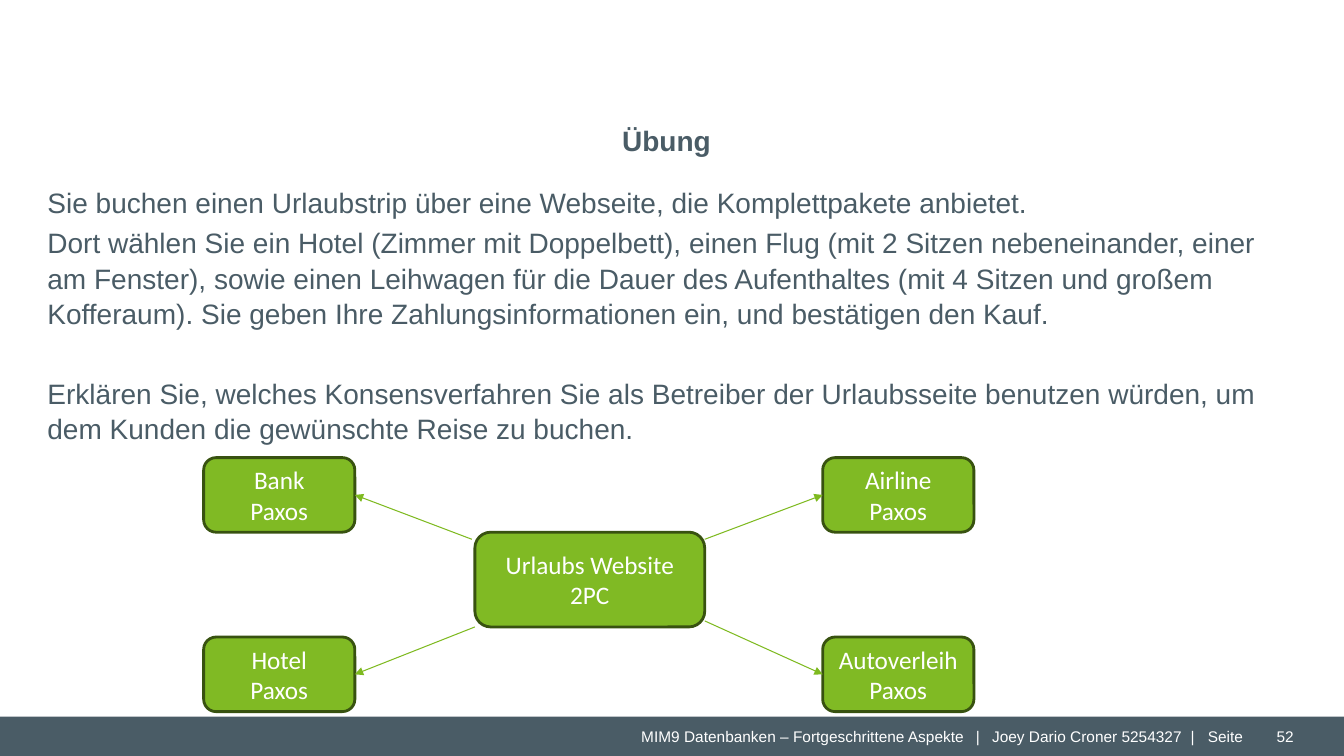
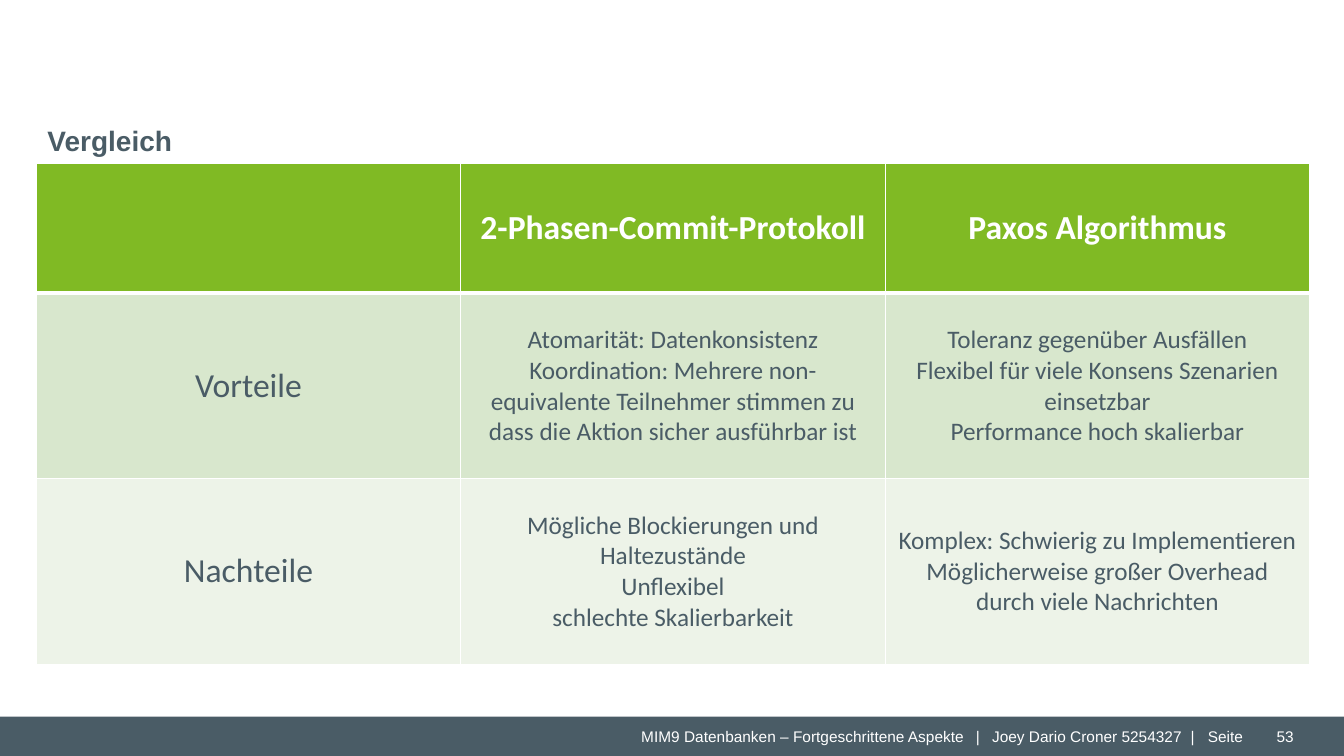
import pptx
import pptx.util
import pptx.dml.color
import pptx.enum.shapes
import pptx.enum.text
import pptx.oxml
import pptx.oxml.ns

Inches, Pt = pptx.util.Inches, pptx.util.Pt
ALIGN = pptx.enum.text.PP_ALIGN
MIDDLE = pptx.enum.text.MSO_ANCHOR.MIDDLE
SHAPE = pptx.enum.shapes.MSO_SHAPE
NS = pptx.oxml.ns.nsdecls("a")

HEX = {"slate": "4A5C66", "green": "80BA24", "edge": "385210", "arrow": "7EBA20",
       "white": "FFFFFF", "mid": "D8E7CD", "pale": "EDF3E8"}

BODY = {"name": "Arial", "size": 20, "color": "slate"}
TITLE = {**BODY, "bold": True}
FOOT = {"name": "Arial", "size": 11, "color": "white"}
NODE = {"name": "Calibri", "size": 18, "color": "white"}
HEAD = {"name": "Calibri", "size": 24, "color": "white", "bold": True}
LABEL = {"name": "Calibri", "size": 24, "color": "slate"}
CELL = {**LABEL, "size": 18}

FOOTER = ["MIM9 Datenbanken – Fortgeschrittene Aspekte", "|",
          "Joey Dario Croner 5254327", "|", "Seite"]
TABS = [3.32, 3.48, 5.45, 5.62]

TASK = [  # text, space before in points
    ("Sie buchen einen Urlaubstrip über eine Webseite, die Komplettpakete anbietet.", 0),
    ("Dort wählen Sie ein Hotel (Zimmer mit Doppelbett), einen Flug (mit 2 Sitzen "
     "nebeneinander, einer am Fenster), sowie einen Leihwagen für die Dauer des "
     "Aufenthaltes (mit 4 Sitzen und großem Kofferaum). Sie geben Ihre "
     "Zahlungsinformationen ein, und bestätigen den Kauf.", 4),
    ("Erklären Sie, welches Konsensverfahren Sie als Betreiber der Urlaubsseite "
     "benutzen würden, um dem Kunden die gewünschte Reise zu buchen.", 32),
]

HUB = (["Urlaubs Website", "2PC"], (4.71, 5.28, 2.28, 0.94))
LEFT, RIGHT, UPPER, LOWER = 2.02, 8.16, 4.54, 6.32
NODE_W, NODE_H = 1.5, 0.74
PARTNERS = [  # name, left, top, start of its arrow
    ("Bank", LEFT, UPPER, (4.68, 5.35)),
    ("Hotel", LEFT, LOWER, (4.71, 6.22)),
    ("Airline", RIGHT, UPPER, (6.99, 5.35)),
    ("Autoverleih", RIGHT, LOWER, (6.99, 6.16)),
]

ROWS = [  # height, fill, cells
    (1.29, "green", [[], ["2-Phasen-Commit-Protokoll"], ["Paxos Algorithmus"]]),
    (1.84, "mid", [
        ["Vorteile"],
        ["Atomarität: Datenkonsistenz",
         "Koordination: Mehrere non-equivalente Teilnehmer stimmen zu "
         "dass die Aktion sicher ausführbar ist"],
        ["Toleranz gegenüber Ausfällen",
         "Flexibel für viele Konsens Szenarien einsetzbar",
         "Performance hoch skalierbar"]]),
    (1.84, "pale", [
        ["Nachteile"],
        ["Mögliche Blockierungen und Haltezustände", "Unflexibel",
         "schlechte Skalierbarkeit"],
        ["Komplex: Schwierig zu Implementieren",
         "Möglicherweise großer Overhead durch viele Nachrichten"]]),
]
COL_W = 4.21


def rgb(key):
    return pptx.dml.color.RGBColor.from_string(HEX[key])


def box(at):
    return [Inches(v) for v in at]


def style(font, look):
    for key, value in look.items():
        if key == "color":
            font.color.rgb = rgb(value)
        else:
            setattr(font, key, Pt(value) if key == "size" else value)


def write(frame, lines, look, align):
    """Put one paragraph per line into the frame and return them."""
    for i, line in enumerate(lines):
        para = frame.paragraphs[0] if i == 0 else frame.add_paragraph()
        para.alignment = align
        run = para.add_run()
        run.text = line
        style(run.font, look)
    return frame.paragraphs


def text(slide, at, lines, look, align=ALIGN.LEFT, pad=(0, 0)):
    frame = slide.shapes.add_textbox(*box(at)).text_frame
    frame.word_wrap = True
    frame.margin_left, frame.margin_right = box(pad)
    return write(frame, lines, look, align)


def block(slide, kind, at, fill, edge=None):
    shape = slide.shapes.add_shape(kind, *box(at))
    shape.shadow.inherit = False
    shape.fill.solid()
    shape.fill.fore_color.rgb = rgb(fill)
    if edge:
        shape.line.color.rgb = rgb(edge)
        shape.line.width = Pt(2)
    else:
        shape.line.fill.background()
    return shape


def node(slide, lines, at):
    frame = block(slide, SHAPE.ROUNDED_RECTANGLE, at, "green", "edge").text_frame
    frame.word_wrap = True
    frame.vertical_anchor = MIDDLE
    write(frame, lines, NODE, ALIGN.CENTER)


def arrow(slide, start, end):
    line = slide.shapes.add_connector(
        pptx.enum.shapes.MSO_CONNECTOR.STRAIGHT, *box(start + end))
    line.line.color.rgb = rgb("arrow")
    line.line.width = Pt(0.75)
    line.line._get_or_add_ln().append(
        pptx.oxml.parse_xml(f'<a:tailEnd {NS} type="triangle"/>'))
    line._element.spPr.append(pptx.oxml.parse_xml(f"<a:effectLst {NS}/>"))


def border(cell, bottom):
    """Draw white cell borders; bottom is the width of the lower one."""
    props = cell._tc.get_or_add_tcPr()
    for i, (side, width) in enumerate(zip("LRTB", (1, 1, 1, bottom))):
        props.insert(i, pptx.oxml.parse_xml(
            f'<a:ln{side} {NS} w="{Pt(width)}"><a:solidFill>'
            f'<a:srgbClr val="{HEX["white"]}"/></a:solidFill></a:ln{side}>'))


def page(deck, title, number, align):
    """Add a slide with the shared footer band and title."""
    slide = deck.slides.add_slide(deck.slide_layouts[6])
    block(slide, SHAPE.RECTANGLE, (0, 7.11, 13.33, 0.39), "slate")
    foot = text(slide, (6.36, 7.16, 6.05, 0.29), ["\t".join(FOOTER)], FOOT)[0]
    stops = "".join(f'<a:tab pos="{Inches(t)}" algn="l"/>' for t in TABS)
    foot._p.get_or_add_pPr().append(
        pptx.oxml.parse_xml(f"<a:tabLst {NS}>{stops}</a:tabLst>"))
    text(slide, (12.42, 7.16, 0.51, 0.29), [str(number)], FOOT, ALIGN.RIGHT, (0.1, 0.1))
    text(slide, (0.47, 1.18, 12.28, 0.52), [title], TITLE, align)
    return slide


def exercise(deck):
    slide = page(deck, "Übung", 52, ALIGN.CENTER)
    paras = text(slide, (0.47, 1.77, 12.28, 2.7), [t for t, _ in TASK], BODY, pad=(0, 0.1))
    for para, (_, gap) in zip(paras, TASK):
        para.line_spacing = 1.05
        para.space_before = Pt(gap)
    node(slide, *HUB)
    for name, left, top, start in PARTNERS:
        node(slide, [name, "Paxos"], (left, top, NODE_W, NODE_H))
        side = left + NODE_W if left == LEFT else left
        arrow(slide, start, (side, top + NODE_H / 2))


def compare(deck):
    slide = page(deck, "Vergleich", 53, ALIGN.LEFT)
    cols = len(ROWS[0][2])
    high = sum(row[0] for row in ROWS)
    table = slide.shapes.add_table(
        len(ROWS), cols, *box((0.36, 1.62, cols * COL_W, high))).table
    for col in table.columns:
        col.width = Inches(COL_W)
    for r, (height, fill, cells) in enumerate(ROWS):
        table.rows[r].height = Inches(height)
        for c, lines in enumerate(cells):
            cell = table.cell(r, c)
            cell.fill.solid()
            cell.fill.fore_color.rgb = rgb(fill)
            cell.vertical_anchor = MIDDLE
            look = HEAD if r == 0 else LABEL if c == 0 else CELL
            write(cell.text_frame, lines, look, ALIGN.CENTER)
            border(cell, 3 if r == 0 else 1)


def main():
    deck = pptx.Presentation()
    deck.slide_width, deck.slide_height = box((13.33, 7.5))
    exercise(deck)
    compare(deck)
    deck.save("out.pptx")


if __name__ == "__main__":
    main()
